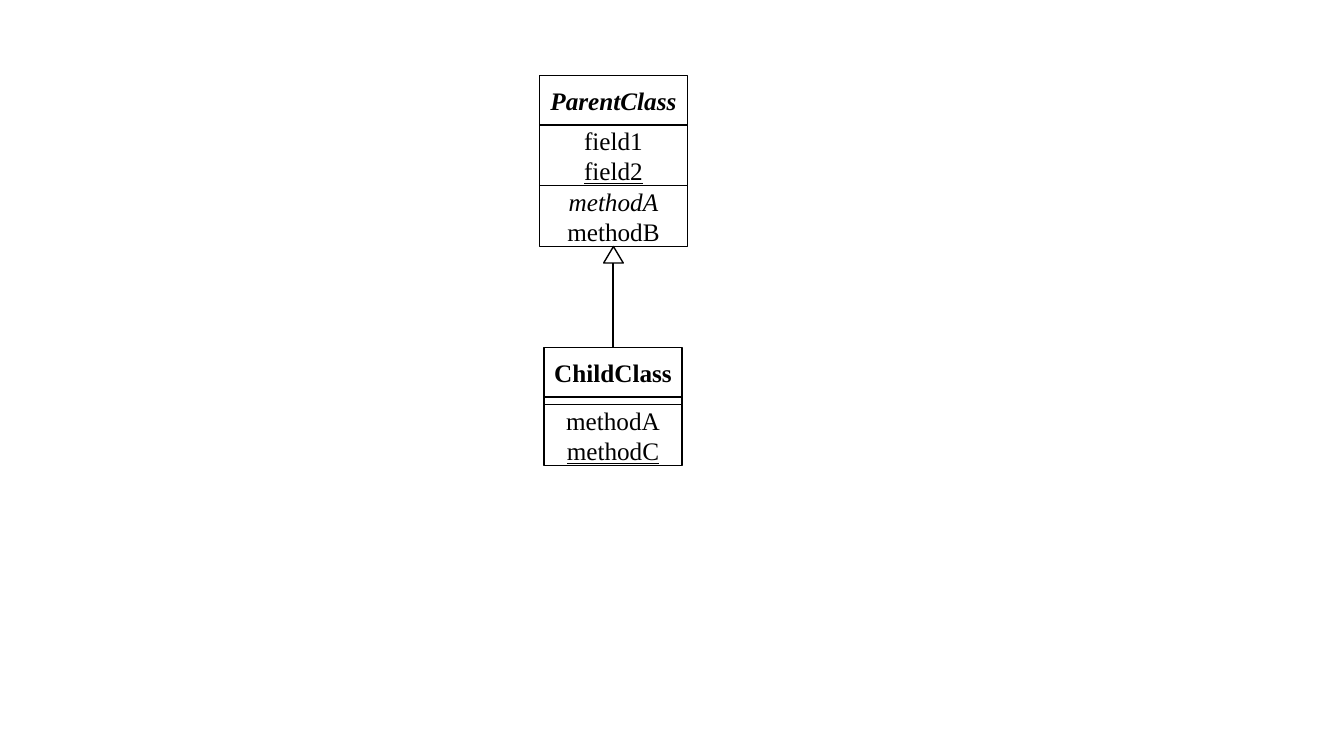
from dataclasses import dataclass

import pptx
import pptx.dml.color
import pptx.enum.shapes
import pptx.enum.text
import pptx.oxml.ns
import pptx.shapes.autoshape
import pptx.shapes.connector
import pptx.slide
import pptx.util
from lxml import etree

Pt = pptx.util.Pt
COLORS = {"ink": "000000", "paper": "FFFFFF"}
FONT = "Times New Roman"
LINE_PITCH = 21.7
TITLE_HEIGHT = 35.3
MEMBERS_HEIGHT = 43.4
EMPTY_HEIGHT = 5.4
TRIANGLE_WIDTH, TRIANGLE_HEIGHT = 14, 11.8


@dataclass(frozen=True)
class Member:
    label: str
    bold: bool = False
    italic: bool = False
    underline: bool = False


@dataclass(frozen=True)
class Compartment:
    height: float
    members: tuple[Member, ...] = ()


@dataclass(frozen=True)
class UmlClass:
    left: float
    top: float
    width: float
    compartments: tuple[Compartment, ...]

    @property
    def bottom(self) -> float:
        return self.top + sum(part.height for part in self.compartments)

    @property
    def center(self) -> float:
        return self.left + self.width / 2


PARENT = UmlClass(385.2, 54, 106, (
    Compartment(TITLE_HEIGHT, (Member("ParentClass", bold=True, italic=True),)),
    Compartment(MEMBERS_HEIGHT, (Member("field1"), Member("field2", underline=True))),
    Compartment(MEMBERS_HEIGHT, (Member("methodA", italic=True), Member("methodB"))),
))
CHILD = UmlClass(388.6, 248.4, 98.6, (
    Compartment(TITLE_HEIGHT, (Member("ChildClass", bold=True),)),
    Compartment(EMPTY_HEIGHT),
    Compartment(MEMBERS_HEIGHT, (Member("methodA"), Member("methodC", underline=True))),
))


def color(name: str) -> pptx.dml.color.RGBColor:
    return pptx.dml.color.RGBColor.from_string(COLORS[name])


def add_outlined(slide: pptx.slide.Slide, kind: pptx.enum.shapes.MSO_SHAPE,
                 left: float, top: float, width: float,
                 height: float) -> pptx.shapes.autoshape.Shape:
    outlined = slide.shapes.add_shape(kind, Pt(left), Pt(top), Pt(width), Pt(height))
    outlined.shadow.inherit = False
    outlined.fill.solid()
    outlined.fill.fore_color.rgb = color("paper")
    outlined.line.color.rgb = color("ink")
    outlined.line.width = Pt(1)
    return outlined


def write_members(box: pptx.shapes.autoshape.Shape, members: tuple[Member, ...]) -> None:
    frame = box.text_frame
    frame.margin_left = frame.margin_right = frame.margin_top = frame.margin_bottom = Pt(0)
    frame.vertical_anchor = pptx.enum.text.MSO_ANCHOR.MIDDLE
    frame.text = "\n".join(member.label for member in members)
    for paragraph, member in zip(frame.paragraphs, members):
        paragraph.alignment = pptx.enum.text.PP_ALIGN.CENTER
        paragraph.line_spacing = Pt(LINE_PITCH)
        font = paragraph.runs[0].font
        font.name = FONT
        font.size = Pt(18)
        font.color.rgb = color("ink")
        font.bold = member.bold
        font.italic = member.italic
        font.underline = member.underline


def draw_class(slide: pptx.slide.Slide, uml: UmlClass) -> pptx.shapes.autoshape.Shape:
    """Stack the compartments and return the title box."""
    boxes = []
    top = uml.top
    for part in uml.compartments:
        box = add_outlined(slide, pptx.enum.shapes.MSO_SHAPE.RECTANGLE,
                           uml.left, top, uml.width, part.height)
        if part.members:
            write_members(box, part.members)
        boxes.append(box)
        top += part.height
    return boxes[0]


def draw_inheritance(slide: pptx.slide.Slide, parent: UmlClass, child: UmlClass,
                     child_title: pptx.shapes.autoshape.Shape) -> None:
    stem = slide.shapes.add_connector(
        pptx.enum.shapes.MSO_CONNECTOR.STRAIGHT,
        Pt(child.center), Pt(parent.bottom + TRIANGLE_HEIGHT),
        Pt(child.center), Pt(child.top))
    stem.end_connect(child_title, 0)
    stem.line.color.rgb = color("ink")
    stem.line.width = Pt(1.5)
    etree.SubElement(stem.element.spPr, pptx.oxml.ns.qn("a:effectLst"))
    add_outlined(slide, pptx.enum.shapes.MSO_SHAPE.ISOSCELES_TRIANGLE,
                 parent.center - TRIANGLE_WIDTH / 2, parent.bottom,
                 TRIANGLE_WIDTH, TRIANGLE_HEIGHT)


def main() -> None:
    deck = pptx.Presentation()
    deck.slide_width, deck.slide_height = Pt(960), Pt(540)
    slide = deck.slides.add_slide(deck.slide_layouts[6])

    # Class boxes
    draw_class(slide, PARENT)
    child_title = draw_class(slide, CHILD)

    # Inheritance arrow from child to parent
    draw_inheritance(slide, PARENT, CHILD, child_title)

    deck.save("out.pptx")


if __name__ == "__main__":
    main()
